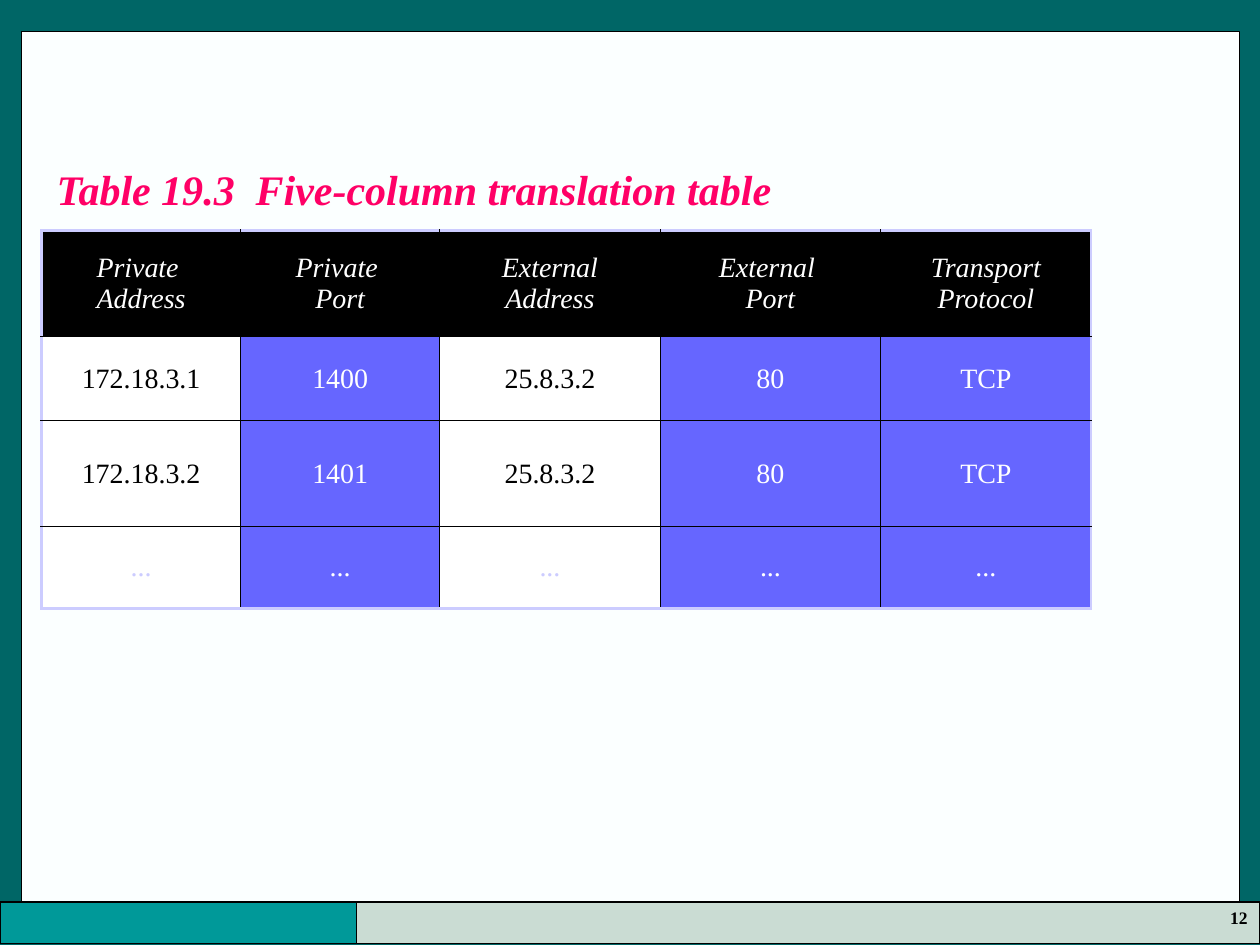
import pptx
import pptx.util
import pptx.oxml
import pptx.oxml.ns
from pptx.dml.color import RGBColor
from pptx.enum.shapes import MSO_SHAPE
from pptx.enum.text import MSO_ANCHOR, PP_ALIGN
from pptx.util import Inches, Pt

FONT = "Times New Roman"
BLACK = RGBColor(0x00, 0x00, 0x00)
WHITE = RGBColor(0xFF, 0xFF, 0xFF)
DARK_TEAL = RGBColor(0x00, 0x66, 0x66)
TEAL = RGBColor(0x00, 0x99, 0x99)
SAGE = RGBColor(0xCA, 0xDC, 0xD3)
PAPER = RGBColor(0xFB, 0xFF, 0xFF)
PINK = RGBColor(0xFF, 0x00, 0x66)
BLUE = RGBColor(0x66, 0x66, 0xFF)
LAVENDER = RGBColor(0xCC, 0xCC, 0xFF)

TITLE = "Table 19.3  Five-column translation table"
PAGE_NUMBER = "12"
ROWS = [
    ["Private \nAddress", "Private \nPort", "External\nAddress", "External \nPort", "Transport\nProtocol"],
    ["172.18.3.1", "1400", "25.8.3.2", "80", "TCP"],
    ["172.18.3.2", "1401", "25.8.3.2", "80", "TCP"],
    ["...", "...", "...", "...", "..."],
]
COLUMN_WIDTHS = [1.58, 1.58, 1.75, 1.75, 1.67]
ROW_HEIGHTS = [0.84, 0.67, 0.84, 0.65]
ADDRESS_COLUMNS = (0, 2)

SLIDE_WIDTH, SLIDE_HEIGHT = 10, 7.5
FOOTER_TOP, FOOTER_HEIGHT, FOOTER_SPLIT = 7.16, 0.33, 2.83
PANELS = [
    ((0.17, 0.25, 9.67, 7.08), PAPER),
    ((0, FOOTER_TOP, FOOTER_SPLIT, FOOTER_HEIGHT), TEAL),
    ((FOOTER_SPLIT, FOOTER_TOP, SLIDE_WIDTH - FOOTER_SPLIT, FOOTER_HEIGHT), SAGE),
]


def write(frame, text, align, color, **formats):
    para = frame.paragraphs[0]
    para.text = text
    para.alignment = align
    para.font.color.rgb = color
    for name, value in {"name": FONT, **formats}.items():
        setattr(para.font, name, value)


def add_panel(page, bounds, color):
    panel = page.shapes.add_shape(MSO_SHAPE.RECTANGLE, *map(Inches, bounds))
    panel.shadow.inherit = False
    panel.fill.solid()
    panel.fill.fore_color.rgb = color
    panel.line.color.rgb = BLACK
    panel.line.width = Pt(0.75)


def add_border(cell, side, outer):
    """Draw one side (L, R, T or B) as the table's frame or as an inner rule."""
    color, points = (LAVENDER, 1.47) if outer else (BLACK, 0.45)
    cell._tc.get_or_add_tcPr().append(pptx.oxml.parse_xml(
        f'<a:ln{side} {pptx.oxml.ns.nsdecls("a")} w="{Pt(points)}">'
        f'<a:solidFill><a:srgbClr val="{color}"/></a:solidFill></a:ln{side}>'))


def cell_colors(row, column):
    """Return the fill and the text colour of a cell."""
    if row == 0:
        return BLACK, WHITE
    if column not in ADDRESS_COLUMNS:
        return BLUE, WHITE
    return WHITE, LAVENDER if row == len(ROWS) - 1 else BLACK


def add_translation_table(page):
    bounds = (0.33, 1.83, sum(COLUMN_WIDTHS), sum(ROW_HEIGHTS))
    table = page.shapes.add_table(len(ROWS), len(COLUMN_WIDTHS), *map(Inches, bounds)).table
    table.first_row = table.horz_banding = False
    for column, width in zip(table.columns, COLUMN_WIDTHS):
        column.width = Inches(width)
    for row, height in zip(table.rows, ROW_HEIGHTS):
        row.height = Inches(height)
    for r, texts in enumerate(ROWS):
        for c, text in enumerate(texts):
            cell = table.cell(r, c)
            outer = {"L": c == 0, "R": c == len(texts) - 1, "T": r == 0, "B": r == len(ROWS) - 1}
            for side, is_outer in outer.items():
                add_border(cell, side, is_outer)
            fill, color = cell_colors(r, c)
            cell.fill.solid()
            cell.fill.fore_color.rgb = fill
            cell.vertical_anchor = MSO_ANCHOR.MIDDLE
            write(cell.text_frame, text, PP_ALIGN.CENTER, color, size=Pt(16), italic=r == 0)


def main():
    deck = pptx.Presentation()
    deck.slide_width, deck.slide_height = Inches(SLIDE_WIDTH), Inches(SLIDE_HEIGHT)
    page = deck.slides.add_slide(deck.slide_layouts[5])
    page.background.fill.solid()
    page.background.fill.fore_color.rgb = DARK_TEAL
    for bounds, color in PANELS:
        add_panel(page, bounds, color)

    number = page.shapes.add_textbox(*map(Inches, (8.82, 7.15, 1.18, 0.34)))
    number.text_frame.word_wrap = True
    write(number.text_frame, PAGE_NUMBER, PP_ALIGN.RIGHT, BLACK, size=Pt(10), bold=True)

    title = page.shapes.title
    page.shapes.element.append(title.element)  # bring in front of the panels
    title.left, title.top, title.width, title.height = map(Inches, (0.35, 1.25, 5.9, 0.5))
    title.text_frame.word_wrap = False
    title.text_frame.vertical_anchor = MSO_ANCHOR.TOP
    write(title.text_frame, TITLE, PP_ALIGN.LEFT, PINK, size=Pt(24), bold=True, italic=True)

    add_translation_table(page)
    deck.save("out.pptx")


if __name__ == "__main__":
    main()
